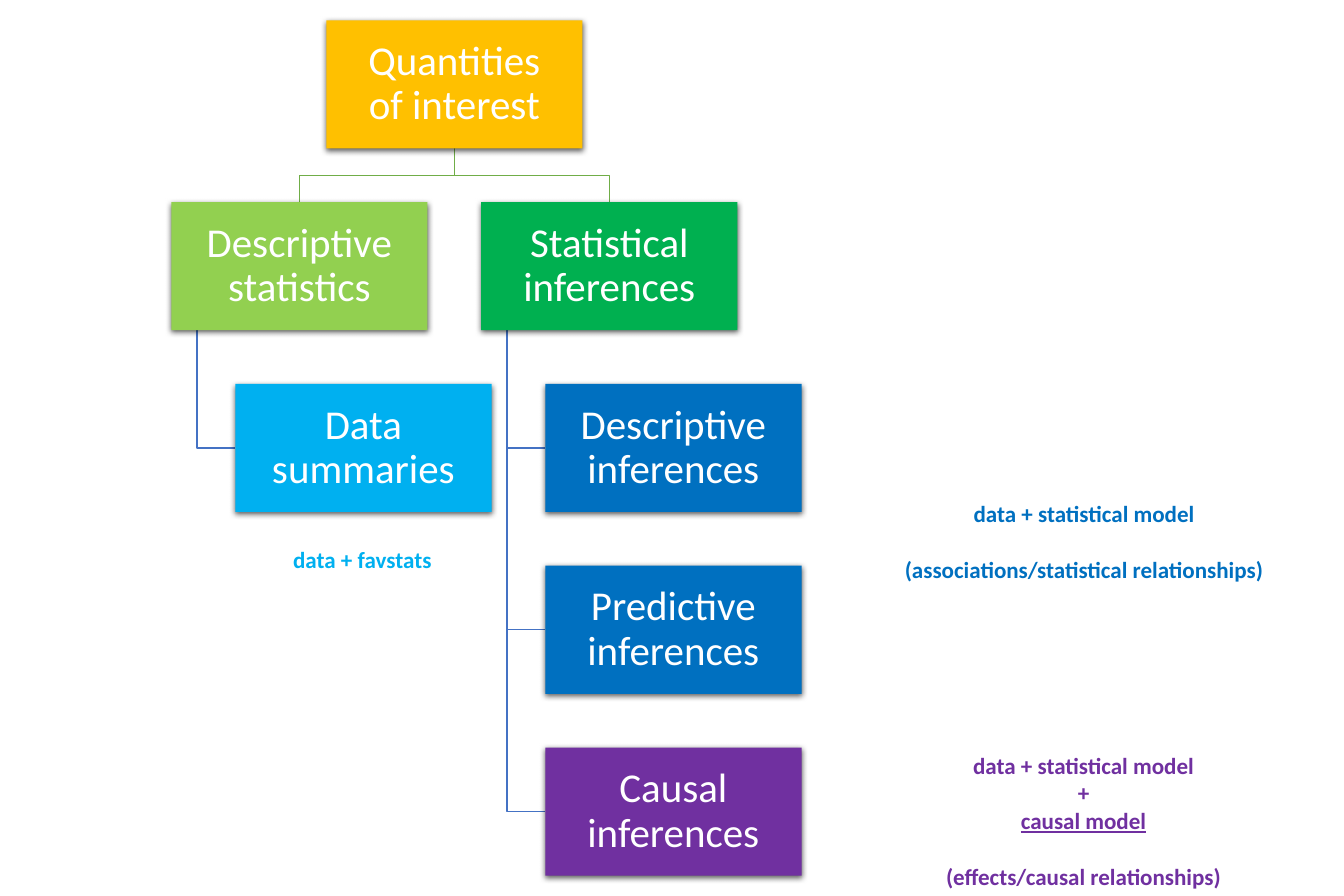
"""Build the slide with the tree of quantities of interest."""
from dataclasses import dataclass
from typing import Any, Optional

from lxml import etree
from pptx import Presentation
from pptx.dml.color import RGBColor
from pptx.enum.shapes import MSO_SHAPE as Preset
from pptx.enum.text import MSO_ANCHOR as Anchor, MSO_AUTO_SIZE as AutoSize, PP_ALIGN as Align
from pptx.oxml.ns import qn
from pptx.util import Cm, Pt

WHITE = RGBColor(0xFF, 0xFF, 0xFF)
GOLD = RGBColor(0xFF, 0xC0, 0x00)
LIME = RGBColor(0x92, 0xD0, 0x50)
GREEN = RGBColor(0x00, 0xB0, 0x50)
SKY = RGBColor(0x00, 0xB0, 0xF0)
BLUE = RGBColor(0x00, 0x70, 0xC0)
PURPLE = RGBColor(0x70, 0x30, 0xA0)
BRANCH_GREEN = RGBColor(0x70, 0xAD, 0x47)
TRUNK_BLUE = RGBColor(0x44, 0x72, 0xC4)

FONT = "Calibri"
WIDTH, HEIGHT, GAP = 7.06, 3.53, 1.48
TREE_LEFT, TREE_TOP = 4.72, 0.56
COLUMN_STEP, ROW_STEP = WIDTH + GAP, HEIGHT + GAP
INDENT, TRUNK_INSET = WIDTH / 4, WIDTH / 10


@dataclass(frozen=True)
class Quantity:
    """A box of the tree, placed by column and row."""
    label: str
    fill: RGBColor
    column: float
    row: int
    parent: Optional["Quantity"] = None

    @property
    def left(self) -> float:
        indent = INDENT if self.row > 1 else 0
        return TREE_LEFT + self.column * COLUMN_STEP + indent

    @property
    def top(self) -> float:
        return TREE_TOP + self.row * ROW_STEP


@dataclass(frozen=True)
class NoteLine:
    """A line of a note, with its underline and the space above it."""
    text: str
    underline: bool = False
    space_before: int = 0


@dataclass(frozen=True)
class Note:
    """A coloured remark beside the tree."""
    lines: tuple[NoteLine, ...]
    color: RGBColor
    left: float
    top: float
    width: float
    height: float


ROOT = Quantity("Quantities\vof interest", GOLD, 0.5, 0)
STATISTICS = Quantity("Descriptive statistics", LIME, 0, 1, ROOT)
INFERENCES = Quantity("Statistical inferences", GREEN, 1, 1, ROOT)
QUANTITIES = (
    ROOT,
    STATISTICS,
    Quantity("Data summaries", SKY, 0, 2, STATISTICS),
    INFERENCES,
    Quantity("Descriptive inferences", BLUE, 1, 2, INFERENCES),
    Quantity("Predictive inferences", BLUE, 1, 3, INFERENCES),
    Quantity("Causal inferences", PURPLE, 1, 4, INFERENCES),
)

MODEL = NoteLine("data + statistical model")
NOTES = (
    Note((MODEL, NoteLine("(associations/statistical relationships)", space_before=22)),
         BLUE, 24.64, 13.64, 10.46, 2.57),
    Note((MODEL, NoteLine("+"), NoteLine("causal model", underline=True),
          NoteLine("(effects/causal relationships)", space_before=22)),
         PURPLE, 25.78, 20.57, 8.15, 4.11),
    Note((NoteLine("data + favstats"),), SKY, 7.8, 14.91, 4.37, 1.02),
)


def apply(target: Any, **formats: Any) -> None:
    """Set each format value on the target."""
    for name, value in formats.items():
        setattr(target, name, value)


def draw_link(shapes: Any, child: Quantity) -> None:
    """Draw the bent line from a box's parent to the box."""
    parent = child.parent
    bottom = parent.top + HEIGHT
    if parent is ROOT:
        start, end = parent.left + WIDTH / 2, child.left + WIDTH / 2
        bend = bottom + GAP / 2
        points = [(start, bottom), (start, bend), (end, bend), (end, child.top)]
        color = BRANCH_GREEN
    else:
        trunk, middle = parent.left + TRUNK_INSET, child.top + HEIGHT / 2
        points = [(trunk, bottom), (trunk, middle), (child.left, middle)]
        color = TRUNK_BLUE
    corners = [(Cm(x), Cm(y)) for x, y in points]
    builder = shapes.build_freeform(*corners[0])
    builder.add_line_segments(corners[1:], close=False)
    link = builder.convert_to_shape()
    link.shadow.inherit = False
    link.fill.background()
    link.line.color.rgb = color
    link.line.width = Pt(1)


def add_shadow(box: Any) -> None:
    """Give a box a soft shadow that falls downwards."""
    box.shadow.inherit = False
    effects = box.element.spPr.find(qn("a:effectLst"))
    shadow = etree.SubElement(effects, qn("a:outerShdw"), blurRad=str(Pt(4.5)),
                              dist=str(Pt(1.5)), dir="5400000", algn="ctr", rotWithShape="0")
    color = etree.SubElement(shadow, qn("a:srgbClr"), val="000000")
    etree.SubElement(color, qn("a:alpha"), val="63000")


def draw_quantity(shapes: Any, quantity: Quantity) -> None:
    """Draw a box of the tree with its label."""
    box = shapes.add_shape(Preset.RECTANGLE, Cm(quantity.left), Cm(quantity.top),
                           Cm(WIDTH), Cm(HEIGHT))
    box.fill.solid()
    box.fill.fore_color.rgb = quantity.fill
    box.line.fill.background()
    add_shadow(box)
    inset = Cm(0.05)
    apply(box.text_frame, text=quantity.label, word_wrap=True, vertical_anchor=Anchor.MIDDLE,
          margin_left=inset, margin_right=inset, margin_top=inset, margin_bottom=inset)
    label = box.text_frame.paragraphs[0]
    apply(label, alignment=Align.CENTER, line_spacing=0.9)
    apply(label.font, name=FONT, size=Pt(32))
    label.font.color.rgb = WHITE


def draw_note(shapes: Any, note: Note) -> None:
    """Draw a remark, one paragraph a line."""
    frame = shapes.add_textbox(Cm(note.left), Cm(note.top),
                               Cm(note.width), Cm(note.height)).text_frame
    apply(frame, word_wrap=False, auto_size=AutoSize.SHAPE_TO_FIT_TEXT)
    for index, line in enumerate(note.lines):
        paragraph = frame.add_paragraph() if index else frame.paragraphs[0]
        apply(paragraph, text=line.text, alignment=Align.CENTER)
        if line.space_before:
            paragraph.space_before = Pt(line.space_before)
        apply(paragraph.runs[0].font, name=FONT, size=Pt(18), bold=True,
              underline=line.underline)
        paragraph.runs[0].font.color.rgb = note.color


def main() -> None:
    """Build and save the slide."""
    deck = Presentation()
    apply(deck, slide_width=Cm(37.03), slide_height=Cm(24.69))
    shapes = deck.slides.add_slide(deck.slide_layouts[6]).shapes
    for quantity in reversed(QUANTITIES):
        if quantity.parent:
            draw_link(shapes, quantity)
    for quantity in QUANTITIES:
        draw_quantity(shapes, quantity)
    for note in NOTES:
        draw_note(shapes, note)
    deck.save("out.pptx")


if __name__ == "__main__":
    main()
